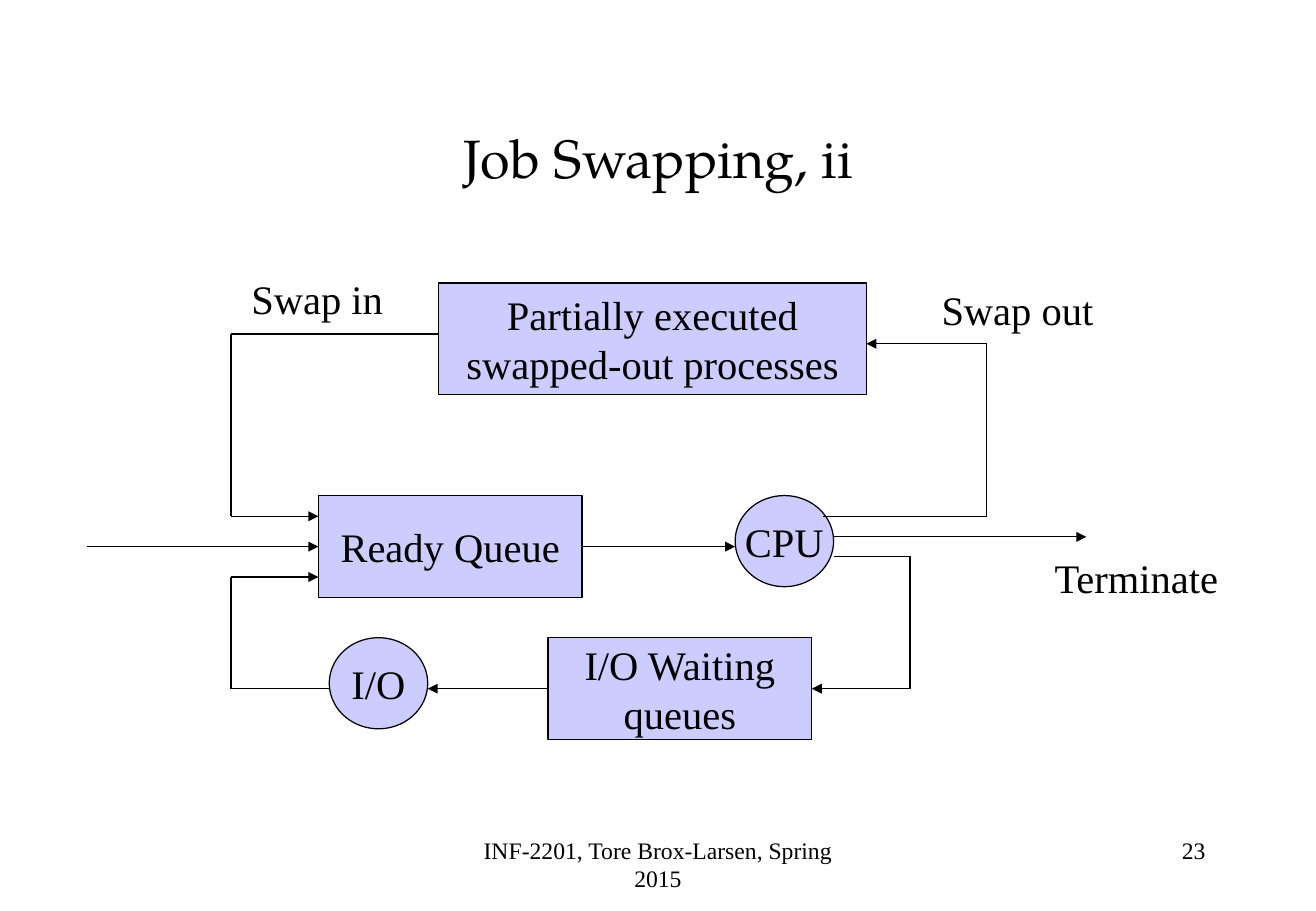
from dataclasses import dataclass
from itertools import pairwise

from lxml.etree import SubElement
from pptx import Presentation
from pptx.dml.color import RGBColor
from pptx.enum.shapes import MSO_CONNECTOR, MSO_SHAPE
from pptx.enum.text import MSO_ANCHOR, PP_ALIGN
from pptx.oxml.ns import qn
from pptx.util import Inches, Pt

INK, LILAC = "000000", "CCCCFF"
SERIF, TITLE = "Times New Roman", "TeX Gyre Pagella"
LEFT, RIGHT = 1, 3


@dataclass
class Node:
    text: str
    x: float
    y: float
    w: float
    h: float
    kind: MSO_SHAPE = MSO_SHAPE.RECTANGLE


@dataclass
class Route:
    """A path of straight lines; begin and end are (node name, side)."""
    points: list[tuple[float, float]]
    arrow: bool = True
    begin: tuple[str, int] | None = None
    end: tuple[str, int] | None = None


@dataclass
class Label:
    text: str
    x: float
    y: float
    w: float
    h: float = 0.5
    size: int = 24
    font: str = SERIF
    align: PP_ALIGN = PP_ALIGN.LEFT
    anchor: MSO_ANCHOR = MSO_ANCHOR.TOP
    wrap: bool = False


NODES = {
    "swapped": Node("Partially executed\nswapped-out processes", 3.61, 2.33, 3.52, 0.92),
    "ready": Node("Ready Queue", 2.62, 4.08, 2.17, 0.84),
    "cpu": Node("CPU", 6.05, 4.08, 0.81, 0.75, MSO_SHAPE.OVAL),
    "waiting": Node("I/O Waiting\nqueues", 4.51, 5.25, 2.17, 0.84),
    "io": Node("I/O", 2.71, 5.25, 0.81, 0.75, MSO_SHAPE.OVAL),
}

ROUTES = [
    Route([(0.72, 4.5), (2.62, 4.5)], end=("ready", LEFT)),
    Route([(4.79, 4.5), (6.05, 4.5)], begin=("ready", RIGHT)),
    Route([(6.86, 4.42), (8.94, 4.42)]),
    Route([(6.86, 4.58), (7.49, 4.58), (7.49, 5.67), (6.68, 5.67)],
          end=("waiting", RIGHT)),
    Route([(4.51, 5.67), (3.52, 5.67)], begin=("waiting", LEFT)),
    Route([(2.71, 5.67), (1.9, 5.67), (1.9, 4.75), (2.62, 4.75)]),
    Route([(3.61, 2.75), (1.9, 2.75), (1.9, 4.25), (2.62, 4.25)]),
    Route([(6.77, 4.25), (8.12, 4.25), (8.12, 2.83), (7.13, 2.83)]),
]

LABELS = [
    Label("Job Swapping, ii", 0.81, 0.67, 9.21, 1.25, 32, TITLE,
          PP_ALIGN.CENTER, MSO_ANCHOR.MIDDLE, True),
    Label("Swap in", 1.97, 2.21, 1.39),
    Label("Swap out", 7.65, 2.3, 1.57),
    Label("Terminate", 8.58, 4.5, 1.7),
    Label("INF-2201, Tore Brox-Larsen, Spring 2015", 3.7, 6.83, 3.43,
          size=14, align=PP_ALIGN.CENTER, wrap=True),
    Label("23", 7.76, 6.83, 2.26, size=14, align=PP_ALIGN.RIGHT, wrap=True),
]


def paint(target, color: str) -> None:
    """Give a fill or a font one solid colour."""
    if hasattr(target, "solid"):
        target.solid()
        target.fore_color.rgb = RGBColor.from_string(color)
    else:
        target.color.rgb = RGBColor.from_string(color)


def write(shape, text: str, *, size: int = 24, font: str = SERIF,
          align: PP_ALIGN = PP_ALIGN.CENTER,
          anchor: MSO_ANCHOR = MSO_ANCHOR.MIDDLE, wrap: bool = False) -> None:
    frame = shape.text_frame
    frame.text = text
    frame.word_wrap = wrap
    frame.vertical_anchor = anchor
    for par in frame.paragraphs:
        par.alignment = align
        par.font.size = Pt(size)
        par.font.name = font
        paint(par.font, INK)


def stroke(line) -> None:
    paint(line.fill, INK)
    line.width = Pt(0.75)


def add_node(slide, node: Node):
    shape = slide.shapes.add_shape(
        node.kind, *map(Inches, (node.x, node.y, node.w, node.h)))
    shape.shadow.inherit = False
    paint(shape.fill, LILAC)
    stroke(shape.line)
    write(shape, node.text)
    return shape


def add_label(slide, label: Label) -> None:
    box = slide.shapes.add_textbox(
        *map(Inches, (label.x, label.y, label.w, label.h)))
    write(box, label.text, size=label.size, font=label.font,
          align=label.align, anchor=label.anchor, wrap=label.wrap)


def add_route(slide, route: Route, shapes: dict) -> None:
    lines = []
    for start, stop in pairwise(route.points):
        line = slide.shapes.add_connector(
            MSO_CONNECTOR.STRAIGHT, *map(Inches, (*start, *stop)))
        stroke(line.line)
        SubElement(line._element.spPr, qn("a:effectLst"))
        lines.append(line)
    if route.begin:
        name, side = route.begin
        lines[0].begin_connect(shapes[name], side)
    if route.end:
        name, side = route.end
        lines[-1].end_connect(shapes[name], side)
    if route.arrow:
        outline = lines[-1].line._get_or_add_ln()
        SubElement(outline, qn("a:tailEnd"), type="triangle")


def main() -> None:
    deck = Presentation()
    deck.slide_width, deck.slide_height = Inches(10.83), Inches(7.5)
    slide = deck.slides.add_slide(deck.slide_layouts[6])
    shapes = {name: add_node(slide, node) for name, node in NODES.items()}
    for route in ROUTES:
        add_route(slide, route, shapes)
    for label in LABELS:
        add_label(slide, label)
    deck.save("out.pptx")


if __name__ == "__main__":
    main()
